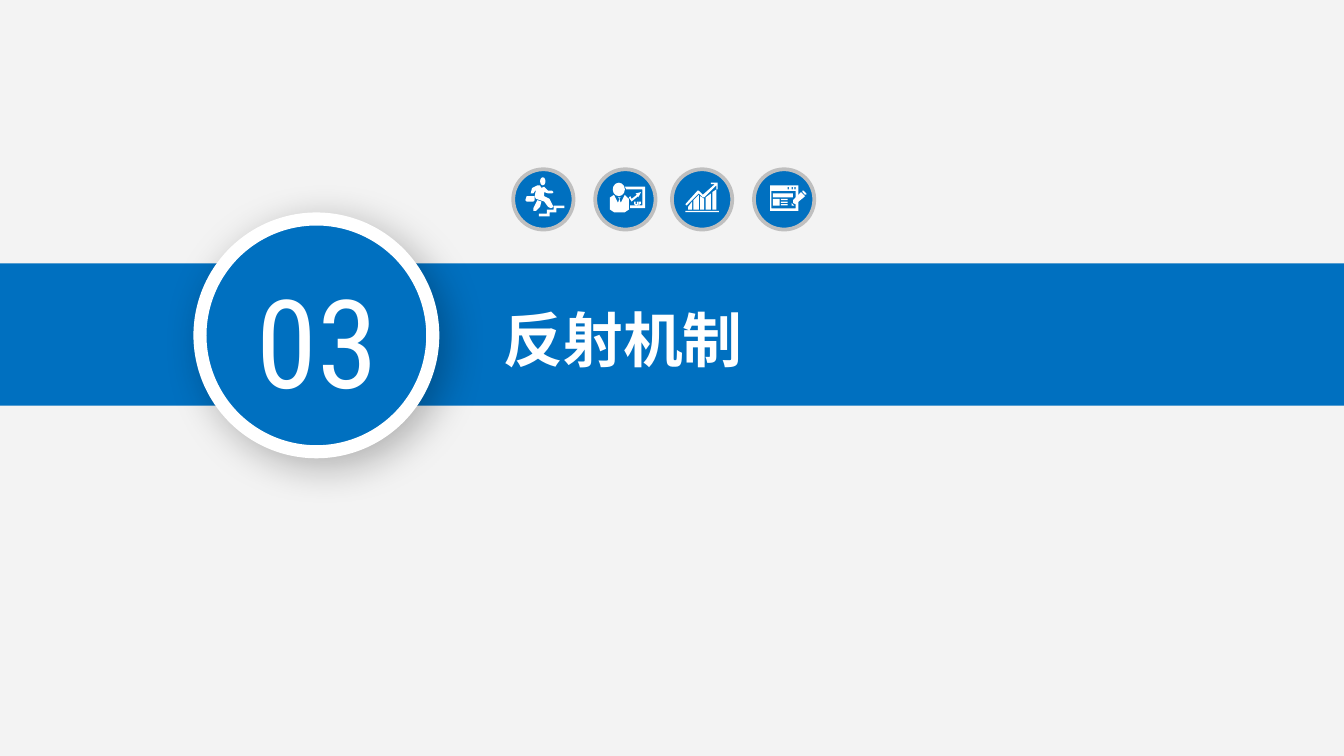
import pptx
import pptx.util
import pptx.dml.color
import pptx.enum.shapes
import pptx.enum.text
import pptx.oxml
import pptx.oxml.ns
from pptx.util import Cm

BLUE, WHITE, GREY, PAPER = "0070C0", "FFFFFF", "BFBFBF", "F3F3F3"
OVAL = pptx.enum.shapes.MSO_SHAPE.OVAL
RECTANGLE = pptx.enum.shapes.MSO_SHAPE.RECTANGLE
GRID = Cm(2.54) / 100
ICON_TOP, ICON_SIZE = 3.2, 1.14


def box_contour(left, top, right, bottom):
    return [(left, top), (right, top), (right, bottom), (left, bottom)]


RUNNER = {
    "ovals": [(20, 6, 4, 6)],
    "outlines": [
        [[(19, 33), (25, 33), (25, 30), (30, 30), (30, 27), (38, 27), (38, 29),
          (32, 29), (32, 32), (27, 32), (27, 35), (19, 35)]],
        [[(10, 20), (16, 20), (16, 23), (15, 24), (10, 24), (9, 23)]],
        [[(18, 23), (21, 24), (20, 28), (17, 31), (15, 31), (15, 29)]],
        [[(20, 12), (21, 14), (23, 13), (26, 16), (29, 16), (30, 17), (29, 18),
          (26, 18), (23, 17), (23, 20), (27, 22), (30, 28), (28, 29), (26, 28),
          (23, 24), (17, 22), (16, 20), (17, 15), (15, 18), (13, 18), (14, 14),
          (18, 12)]],
    ],
}
PRESENTER = {
    "ovals": [(13, 10, 9, 10)],
    "outlines": [
        [[(22, 13), (37, 13), (37, 29), (26, 29), (26, 27), (35, 27), (35, 15),
          (23, 15)]],
        [[(26, 20), (25, 21), (27, 24), (32, 20), (32, 21), (34, 17), (30, 18),
          (31, 19), (27, 22)]],
        [[(22, 19), (19, 25), (18, 22), (19, 21), (17, 21), (18, 22), (17, 25),
          (14, 19), (11, 21), (11, 30), (14, 32), (22, 32), (25, 30), (25, 22)]],
        [[(29, 24), (29, 26), (30, 27), (31, 27), (32, 26), (32, 24), (31, 24),
          (31, 26), (30, 26), (30, 24)]],
        [[(32, 24), (34, 24), (34, 26), (33, 26), (33, 27), (32, 27)]],
    ],
}
GROWTH = {
    "rectangles": [(10, 31, 25, 1)],
    "outlines": [
        [[(left, 30), (left, start), (right, end), (right, 30)]]
        for left, right, start, end in [
            (12, 15, 28, 24), (16, 20, 23, 19), (21, 24, 20, 22),
            (25, 29, 21, 18), (30, 33, 17, 15)]
    ] + [
        [[(11, 27), (20, 18), (23, 21), (24, 21), (33, 12), (33, 15), (34, 15),
          (34, 10), (29, 10), (29, 11), (32, 11), (23, 19), (20, 16), (19, 16),
          (10, 26)]],
    ],
}
BROWSER = {
    "rectangles": [(14, 18, 15, 3), (14, 22, 5, 5)]
    + [(20, top, 5, 1) for top in (22, 24, 26)],
    "outlines": [
        [box_contour(12, 12, 33, 31), box_contour(13, 16, 31, 29)]
        + [box_contour(left, 13, left + 1, 15) for left in (25, 28, 30)],
        [[(28, 25), (28, 27), (30, 27)]],
        [[(38, 19), (39, 19), (39, 18), (37, 16), (36, 16), (36, 17)]],
        [[(35, 17), (29, 23), (29, 25), (31, 26), (32, 25), (38, 20)]],
    ],
}
ICONS = [(9.7, RUNNER), (11.25, PRESENTER), (14.25, BROWSER), (12.7, GROWTH)]


def colour(value):
    return pptx.dml.color.RGBColor.from_string(value)


def paint(shape, fill, line=None, width=0):
    shape.shadow.inherit = False
    shape.fill.solid()
    shape.fill.fore_color.rgb = colour(fill)
    if line:
        shape.line.color.rgb = colour(line)
        shape.line.width = pptx.util.Pt(width)
    else:
        shape.line.fill.background()
    return shape


def add_outline(shapes, contours, left, top):
    builder = shapes.build_freeform(*contours[0][0], scale=GRID)
    for number, contour in enumerate(contours):
        if number:
            builder.move_to(*contour[0])
        builder.add_line_segments(contour[1:], close=True)
    return paint(builder.convert_to_shape(left, top), WHITE)


def add_icon(slide, left, drawing):
    shapes = slide.shapes.add_group_shape().shapes
    left, top, size = Cm(left), Cm(ICON_TOP), Cm(ICON_SIZE)
    paint(shapes.add_shape(OVAL, left, top, size, size), BLUE, GREY, 2)
    for key, kind in (("ovals", OVAL), ("rectangles", RECTANGLE)):
        for x, y, width, height in drawing.get(key, []):
            edges = [round(value * GRID) for value in (x, y, width, height)]
            paint(shapes.add_shape(kind, left + edges[0], top + edges[1], *edges[2:]), WHITE)
    for contours in drawing["outlines"]:
        add_outline(shapes, contours, left, top)


def add_soft_shadow(shape):
    effects = shape._element.spPr.find(pptx.oxml.ns.qn("a:effectLst"))
    effects.append(pptx.oxml.parse_xml(
        f'<a:outerShdw {pptx.oxml.ns.nsdecls("a")} blurRad="279400" dist="76200" '
        'dir="2700000" algn="tl" rotWithShape="0"><a:srgbClr val="000000">'
        '<a:alpha val="28000"/></a:srgbClr></a:outerShdw>'))


def add_text(shapes, text, place, font, alignment):
    box = shapes.add_textbox(*[Cm(value) for value in place])
    box.text_frame.word_wrap = True
    para = box.text_frame.paragraphs[0]
    para.alignment = alignment
    span = para.add_run()
    span.text = text
    for name, value in font.items():
        setattr(span.font, name, value)
    span.font.color.rgb = colour(WHITE)
    east_asian = pptx.oxml.parse_xml(
        f'<a:ea {pptx.oxml.ns.nsdecls("a")} typeface="{font["name"]}"/>')
    span._r.get_or_add_rPr().append(east_asian)


def add_number_badge(slide, number):
    shapes = slide.shapes.add_group_shape().shapes
    disc = shapes.add_shape(OVAL, Cm(3.78), Cm(4.14), Cm(4.4), Cm(4.4))
    add_soft_shadow(paint(disc, BLUE, WHITE, 7))
    add_text(shapes, number, (4.34, 4.9, 3.33, 3.02),
             {"name": "Roboto Condensed", "size": pptx.util.Pt(66)},
             pptx.enum.text.PP_ALIGN.CENTER)


def main():
    deck = pptx.Presentation()
    deck.slide_width, deck.slide_height = Cm(25.4), Cm(14.29)
    slide = deck.slides.add_slide(deck.slide_layouts[6])
    slide.background.fill.solid()
    slide.background.fill.fore_color.rgb = colour(PAPER)

    band = slide.shapes.add_shape(RECTANGLE, 0, Cm(4.98), deck.slide_width, Cm(2.69))
    paint(band, BLUE)
    add_text(slide.shapes, "反射机制", (9.27, 5.59, 10, 1.63),
             {"name": "Noto Sans CJK SC", "size": pptx.util.Pt(32), "bold": True},
             pptx.enum.text.PP_ALIGN.LEFT)
    for left, drawing in ICONS:
        add_icon(slide, left, drawing)
    add_number_badge(slide, "03")
    deck.save("out.pptx")


if __name__ == "__main__":
    main()
